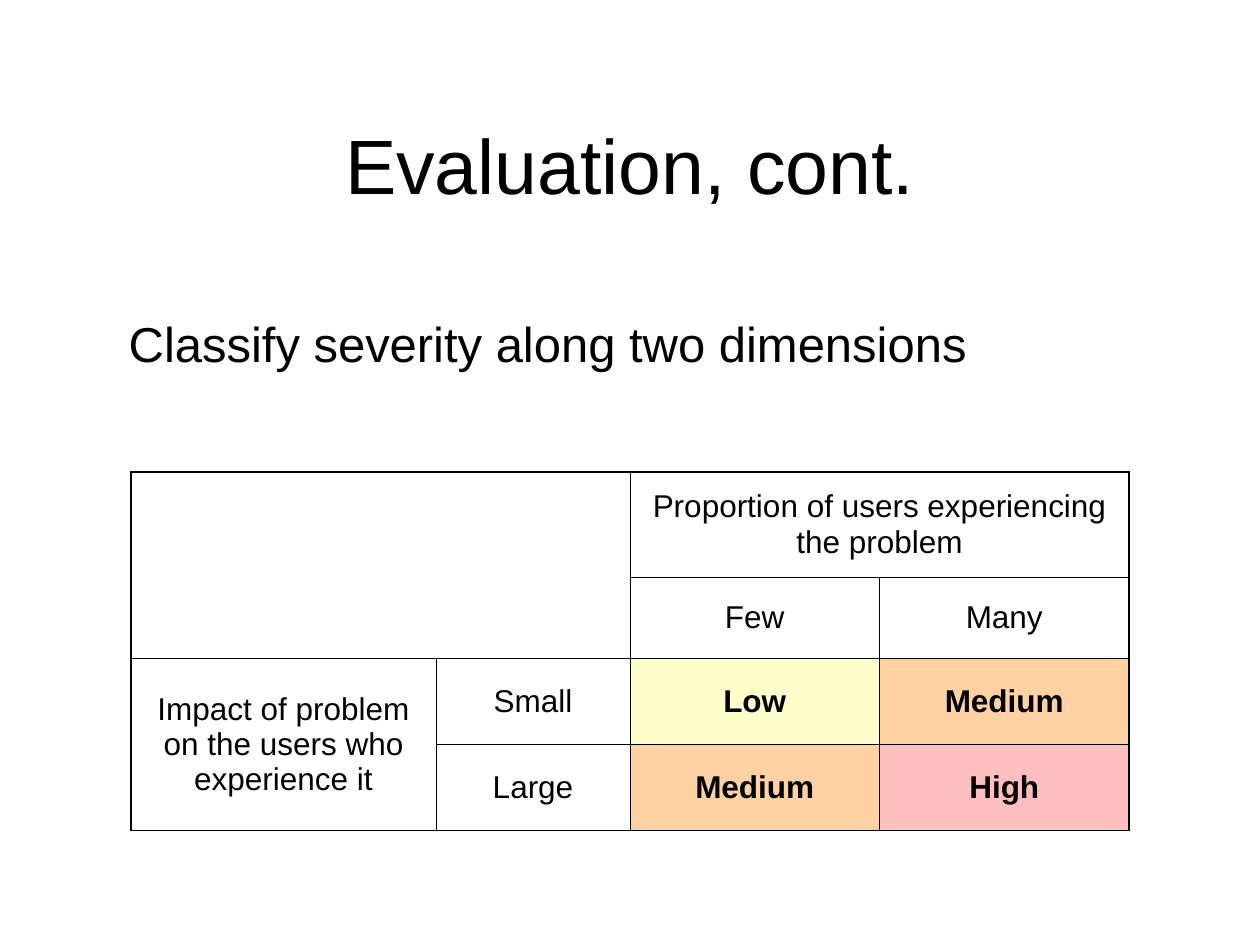
import lxml.etree
import pptx
import pptx.dml.color
import pptx.enum.text
import pptx.oxml.ns
import pptx.util

Cm, Pt = pptx.util.Cm, pptx.util.Pt
RGB = pptx.dml.color.RGBColor.from_string
ANCHOR = pptx.enum.text.MSO_ANCHOR
ALIGN = pptx.enum.text.PP_ALIGN
qn = pptx.oxml.ns.qn

TITLE = "Evaluation, cont."
BODY = "Classify severity along two dimensions"
# Row, column, text, row span, column span
CELLS = [
    (0, 0, "", 1, 2),
    (0, 2, "Proportion of users experiencing the problem", 1, 2),
    (1, 0, "", 1, 2),
    (1, 2, "Few", 1, 1),
    (1, 3, "Many", 1, 1),
    (2, 0, "Impact of problem on the users who experience it", 2, 1),
    (2, 1, "Small", 1, 1),
    (2, 2, "Low", 1, 1),
    (2, 3, "Medium", 1, 1),
    (3, 1, "Large", 1, 1),
    (3, 2, "Medium", 1, 1),
    (3, 3, "High", 1, 1),
]
THEME = {
    "font": "Arial", "text": "000000", "line": "000000", "background": "FFFFFF",
    "title_size": 44, "body_size": 28, "cell_size": 18,
    "inner_line": 0.45, "outer_line": 1.08,
    "severity": {"Low": "FFFFCC", "Medium": "FFD1A3", "High": "FFBFBF"},
}
TITLE_BOX = (1.9, 1.7, 21.6, 3.18)
BODY_BOX = (2.34, 6.2, 21.16, 10.75)
TABLE_LEFT, TABLE_TOP = 2.64, 9.52
COLUMN_WIDTHS = [6.15, 3.91, 5.03, 5.03]
ROW_HEIGHTS = [2.11, 1.65, 1.73, 1.73]


def add_text(frame, text, size, align, bold=False):
    paragraph = frame.paragraphs[0]
    paragraph.alignment = align
    paragraph.space_before = Pt(0)
    run = paragraph.add_run()
    run.text = text
    run.font.name = THEME["font"]
    run.font.size = Pt(size)
    run.font.bold = bold
    run.font.color.rgb = RGB(THEME["text"])
    return paragraph


def fill_placeholder(shape, box, text, size, align, anchor):
    shape.left, shape.top, shape.width, shape.height = map(Cm, box)
    frame = shape.text_frame
    frame.auto_size = pptx.enum.text.MSO_AUTO_SIZE.NONE
    frame.word_wrap = True
    frame.vertical_anchor = anchor
    return add_text(frame, text, size, align)


def set_borders(cell, widths):
    """Draw the left, right, top and bottom lines; a width of 0 hides one."""
    properties = cell._tc.get_or_add_tcPr()
    for index, (side, width) in enumerate(zip("LRTB", widths)):
        line = lxml.etree.Element(qn(f"a:ln{side}"), w=str(int(Pt(width))))
        if width:
            fill = lxml.etree.SubElement(line, qn("a:solidFill"))
            lxml.etree.SubElement(fill, qn("a:srgbClr"), val=THEME["line"])
        else:
            lxml.etree.SubElement(line, qn("a:noFill"))
        properties.insert(index, line)


def add_severity_table(slide):
    row_count, column_count = len(ROW_HEIGHTS), len(COLUMN_WIDTHS)
    table = slide.shapes.add_table(
        row_count, column_count, Cm(TABLE_LEFT), Cm(TABLE_TOP),
        Cm(sum(COLUMN_WIDTHS)), Cm(sum(ROW_HEIGHTS))).table
    table.first_row = table.horz_banding = False
    for column, width in zip(table.columns, COLUMN_WIDTHS):
        column.width = Cm(width)
    for row, height in zip(table.rows, ROW_HEIGHTS):
        row.height = Cm(height)

    def edge_width(edge, count):
        return THEME["outer_line" if edge in (0, count) else "inner_line"]

    for row, column, text, row_span, column_span in CELLS:
        bottom, right = row + row_span, column + column_span
        cell = table.cell(row, column)
        if row_span * column_span > 1:
            cell.merge(table.cell(bottom - 1, right - 1))
        cell.vertical_anchor = ANCHOR.MIDDLE
        severity = THEME["severity"].get(text)
        if text:
            add_text(cell.text_frame, text, THEME["cell_size"], ALIGN.CENTER, bool(severity))
        widths = [edge_width(column, column_count), edge_width(right, column_count),
                  edge_width(row, row_count), edge_width(bottom, row_count)]
        if not text:  # the two empty corner cells read as one
            widths[3 if row == 0 else 2] = 0
        for part_row in range(row, bottom):
            for part_column in range(column, right):
                part = table.cell(part_row, part_column)
                if severity:
                    part.fill.solid()
                    part.fill.fore_color.rgb = RGB(severity)
                else:
                    part.fill.background()
                set_borders(part, widths)


def main():
    presentation = pptx.Presentation()
    presentation.slide_width, presentation.slide_height = Cm(25.4), Cm(19.05)
    slide = presentation.slides.add_slide(presentation.slide_layouts[1])
    slide.background.fill.solid()
    slide.background.fill.fore_color.rgb = RGB(THEME["background"])
    fill_placeholder(slide.shapes.title, TITLE_BOX, TITLE, THEME["title_size"],
                     ALIGN.CENTER, ANCHOR.MIDDLE)
    paragraph = fill_placeholder(slide.placeholders[1], BODY_BOX, BODY,
                                 THEME["body_size"], ALIGN.LEFT, ANCHOR.TOP)
    properties = paragraph._p.get_or_add_pPr()
    properties.set("marL", str(int(Cm(0.95))))
    properties.set("indent", str(int(Cm(-0.95))))
    lxml.etree.SubElement(properties, qn("a:buNone"))
    add_severity_table(slide)
    presentation.save("out.pptx")


if __name__ == "__main__":
    main()
